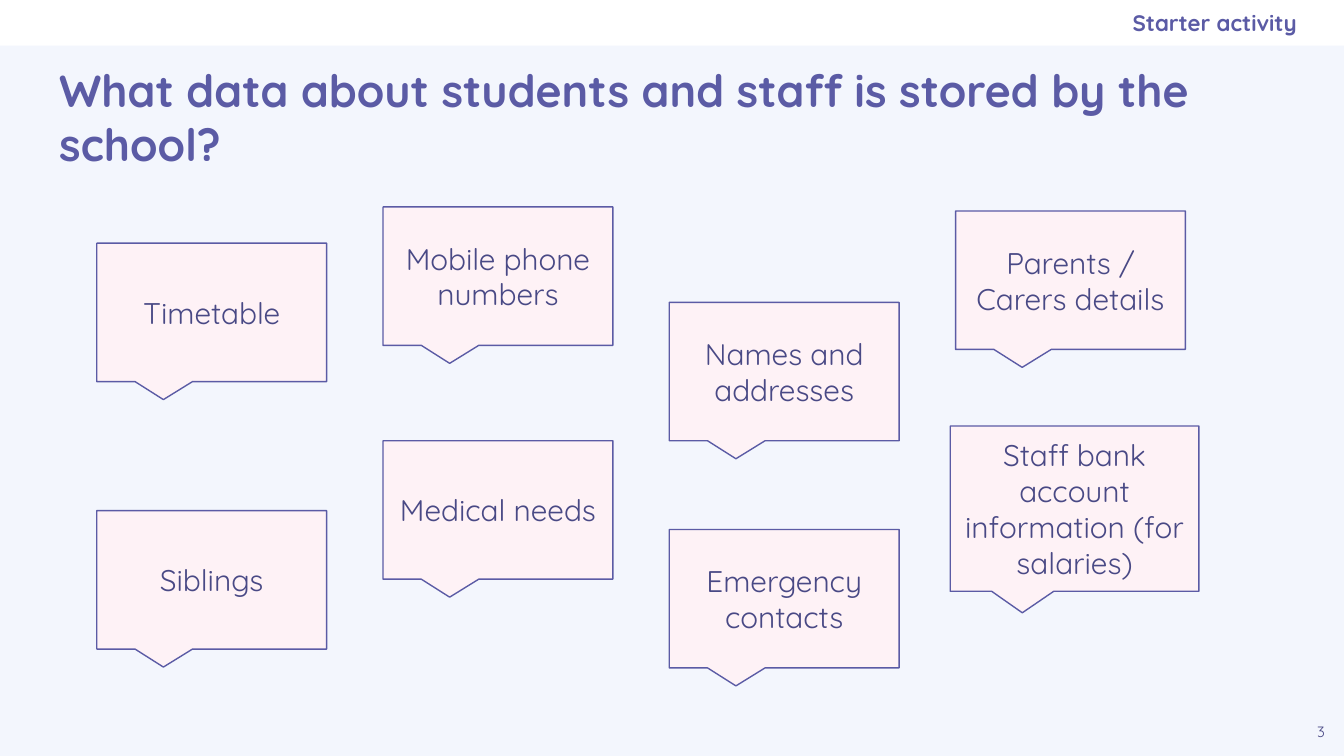
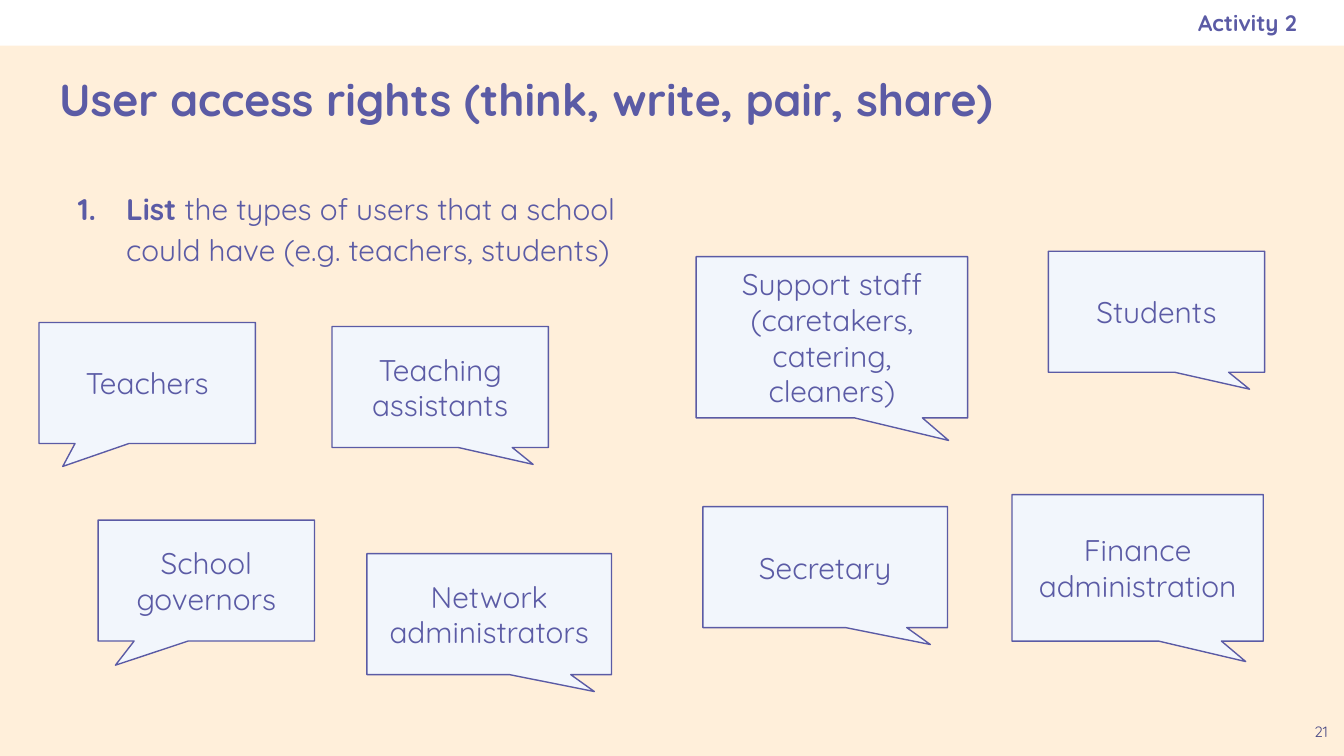
from dataclasses import dataclass

from lxml.etree import SubElement
from pptx import Presentation
from pptx.dml.color import RGBColor
from pptx.enum.shapes import MSO_SHAPE
from pptx.enum.text import MSO_ANCHOR, MSO_AUTO_SIZE, PP_ALIGN
from pptx.oxml.ns import qn
from pptx.util import Inches, Pt

COLS, ROWS = 100, 56.25
WIDTH, HEIGHT = Inches(10), Inches(5.625)


@dataclass(frozen=True)
class Theme:
    font: str = "Quicksand"
    violet: str = "5B5BA5"
    dark: str = "494985"
    white: str = "FFFFFF"
    ice: str = "F2F6FC"
    mist: str = "F3F6FD"
    pink: str = "FEF2F6"
    peach: str = "FFEFDA"
    title: float = 24
    body: float = 16
    label: float = 12
    number: float = 8
    line: float = 0.75


THEME = Theme()


@dataclass(frozen=True)
class Box:
    col: float
    row: float
    wide: float
    high: float


@dataclass(frozen=True)
class Bubble:
    text: str
    box: Box
    tail: tuple[float, float]


BAND = Box(0, 0, COLS, 3.4)
LABEL = Box(57.5, 0, 39, 3.4)
NUMBER = Box(96.6, 52.8, 3.4, 3.4)
TASK = Box(3.4, 12.8, 44.8, 40)

DOWN = (-0.21, 0.63)
LEFT = (-0.39, 0.69)
FAR = (-0.42, 0.7)
RIGHT = (0.43, 0.64)


def across(cols: float) -> int:
    return round(WIDTH * cols / COLS)


def down(rows: float) -> int:
    return round(HEIGHT * rows / ROWS)


def place(box: Box) -> tuple[int, int, int, int]:
    return across(box.col), down(box.row), across(box.wide), down(box.high)


def paint(color: str) -> RGBColor:
    return RGBColor.from_string(color)


def write(shape, *parts: str, size: float = THEME.body, color: str = THEME.violet,
          bold: int = 0, align=PP_ALIGN.LEFT, anchor=MSO_ANCHOR.MIDDLE,
          inset: float = 1):
    frame = shape.text_frame
    frame.word_wrap = True
    frame.auto_size = MSO_AUTO_SIZE.NONE
    frame.vertical_anchor = anchor
    frame.margin_left = frame.margin_top = frame.margin_bottom = across(1)
    frame.margin_right = across(inset)
    line = frame.paragraphs[0]
    line.alignment = align
    for index, part in enumerate(parts):
        run = line.add_run()
        run.text = part
        run.font.name = THEME.font
        run.font.size = Pt(size)
        run.font.bold = index < bold
        run.font.color.rgb = paint(color)
    return line


def draw(slide, kind: MSO_SHAPE, box: Box, fill: str, edge: str = ""):
    shape = slide.shapes.add_shape(kind, *place(box))
    shape.shadow.inherit = False
    shape.fill.solid()
    shape.fill.fore_color.rgb = paint(fill)
    if edge:
        shape.line.color.rgb = paint(edge)
        shape.line.width = Pt(THEME.line)
    else:
        shape.line.fill.background()
    return shape


def start(deck, title: str, label: str, number: int, ground: str, high: float):
    slide = deck.slides.add_slide(deck.slide_layouts[5])
    slide.background.fill.solid()
    slide.background.fill.fore_color.rgb = paint(ground)
    draw(slide, MSO_SHAPE.RECTANGLE, BAND, THEME.white)
    head = slide.shapes.title
    head.left, head.top, head.width, head.height = place(Box(3.4, 3.5, 93.2, high))
    write(head, title, size=THEME.title, bold=1)
    write(slide.shapes.add_textbox(*place(LABEL)), label, size=THEME.label,
          bold=1, align=PP_ALIGN.RIGHT, inset=0)
    write(slide.shapes.add_textbox(*place(NUMBER)), str(number), size=THEME.number,
          color=THEME.dark, align=PP_ALIGN.CENTER, anchor=MSO_ANCHOR.TOP)
    return slide


def speak(slide, bubbles: list[Bubble], fill: str, color: str) -> None:
    for bubble in bubbles:
        shape = draw(slide, MSO_SHAPE.ROUNDED_RECTANGULAR_CALLOUT, bubble.box,
                     fill, THEME.violet)
        for index, value in enumerate((*bubble.tail, 0)):
            shape.adjustments[index] = value
        write(shape, bubble.text, color=color, align=PP_ALIGN.CENTER)


def count(line) -> None:
    props = line._p.get_or_add_pPr()
    props.set("marL", str(across(5)))
    props.set("indent", str(-across(3.6)))
    tint = SubElement(props, qn("a:buClr"))
    SubElement(tint, qn("a:srgbClr"), val=THEME.violet)
    SubElement(props, qn("a:buFont"), typeface=THEME.font)
    SubElement(props, qn("a:buAutoNum"), type="arabicPeriod")
    line.line_spacing = 1.15


def data(deck) -> None:
    slide = start(deck, "What data about students and staff is stored by the school?",
                  "Starter activity", 3, THEME.mist, 10.3)
    stacks = [
        [("Timetable", 18.1), ("Siblings", 38)],
        [("Mobile phone numbers", 15.4), ("Medical needs", 32.8)],
        [("Names and addresses", 22.5), ("Emergency contacts", 39.4)],
        [("Parents / Carers details", 15.7)],
    ]
    bubbles = [Bubble(text, Box(7.2 + 21.3 * index, row, 17.1, 10.3), DOWN)
               for index, stack in enumerate(stacks) for text, row in stack]
    bubbles.append(Bubble("Staff bank account information (for salaries)",
                          Box(70.7, 31.7, 18.5, 12.3), DOWN))
    speak(slide, bubbles, THEME.pink, THEME.dark)


def rights(deck) -> None:
    slide = start(deck, "User access rights (think, write, pair, share)",
                  "Activity 2", 21, THEME.peach, 7.6)
    task = slide.shapes.add_textbox(*place(TASK))
    count(write(task, "List",
                " the types of users that a school could have (e.g. teachers, students)",
                bold=1, anchor=MSO_ANCHOR.TOP))
    speak(slide, [
        Bubble("Teachers", Box(2.9, 24, 16.1, 9), LEFT),
        Bubble("Teaching assistants", Box(24.7, 24.3, 16.1, 9), RIGHT),
        Bubble("Support staff (caretakers, catering, cleaners)",
               Box(51.8, 19.1, 20.2, 12), RIGHT),
        Bubble("Students", Box(78, 18.7, 16.1, 9), RIGHT),
        Bubble("School governors", Box(7.3, 38.7, 16.1, 9), FAR),
        Bubble("Network administrators", Box(27.3, 41.2, 18.2, 9), RIGHT),
        Bubble("Secretary", Box(52.3, 37.7, 18.2, 9), RIGHT),
        Bubble("Finance administration", Box(75.3, 36.8, 18.7, 10.9), RIGHT),
    ], THEME.ice, THEME.violet)


def main() -> None:
    deck = Presentation()
    deck.slide_width, deck.slide_height = WIDTH, HEIGHT
    data(deck)
    rights(deck)
    deck.save("out.pptx")


if __name__ == "__main__":
    main()
